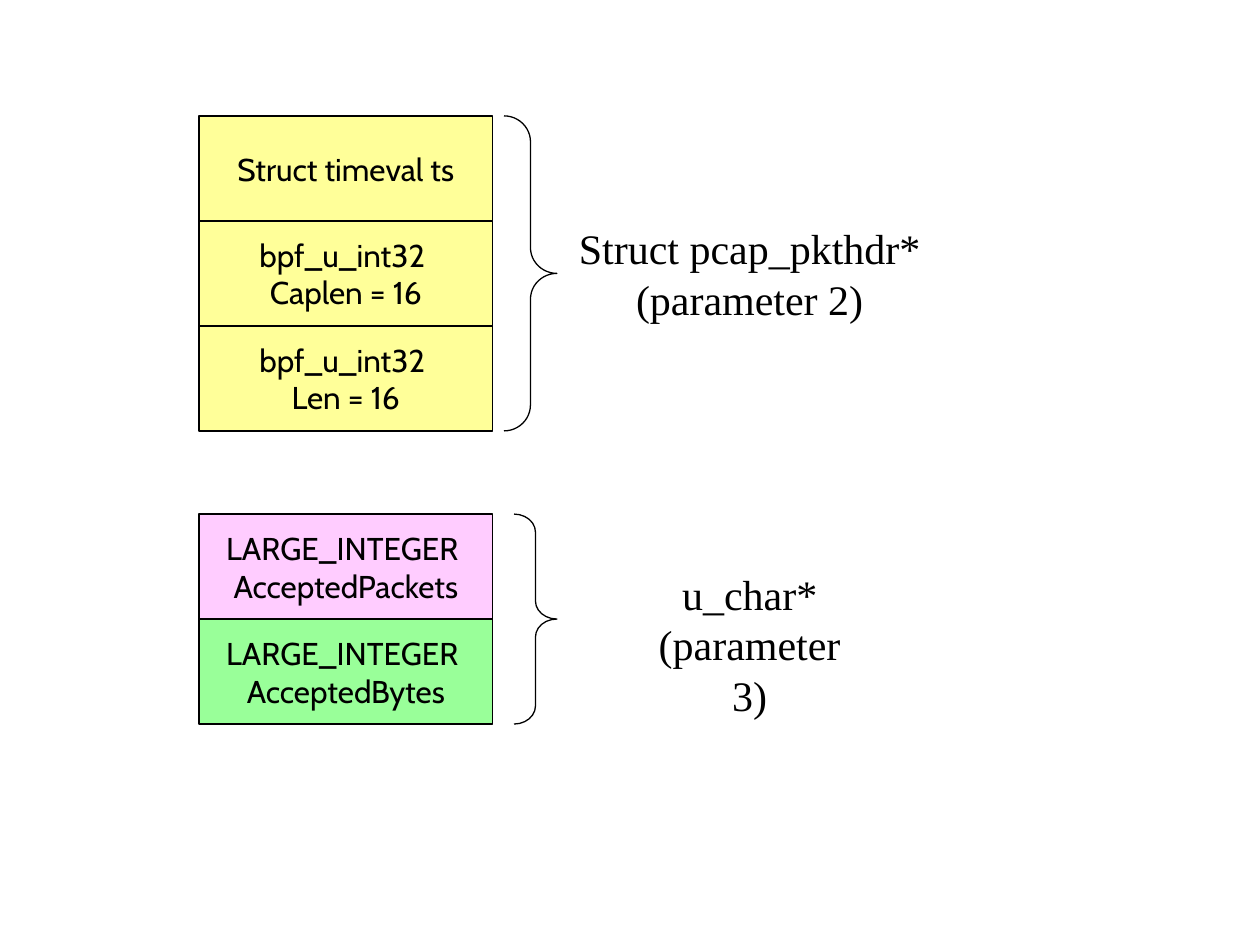
from dataclasses import dataclass

from pptx import Presentation
from pptx.dml.color import RGBColor
from pptx.enum import shapes, text
from pptx.util import Inches, Pt


@dataclass(frozen=True)
class Theme:
    ink: RGBColor = RGBColor(0, 0, 0)
    yellow: RGBColor = RGBColor(0xFF, 0xFF, 0x99)
    pink: RGBColor = RGBColor(0xFF, 0xCC, 0xFF)
    green: RGBColor = RGBColor(0x99, 0xFF, 0x99)
    field_font: str = "Cabin"
    field_size: Pt = Pt(18)
    label_font: str = "Times New Roman"
    label_size: Pt = Pt(24)
    line_width: Pt = Pt(0.75)


@dataclass(frozen=True)
class Field:
    lines: tuple[str, ...]
    fill: RGBColor


@dataclass(frozen=True)
class Struct:
    """A stack of fields, braced together and labelled on the right."""
    top: float
    fields: tuple[Field, ...]
    brace_left: float
    brace_curve: float
    label: tuple[str, ...]
    label_width: float


THEME = Theme()
FIELD_LEFT, FIELD_WIDTH, FIELD_HEIGHT = 1.58, 2.33, 2.5 / 3
BRACE_RIGHT = 4.42
LABEL_CENTER, LABEL_HEIGHT = 5.95, 0.9

STRUCTS = (
    Struct(0.92, (
        Field(("Struct timeval ts",), THEME.yellow),
        Field(("bpf_u_int32 ", "Caplen = 16"), THEME.yellow),
        Field(("bpf_u_int32 ", "Len = 16"), THEME.yellow),
    ), 4.0, 0.49, ("Struct pcap_pkthdr*", "(parameter 2)"), 2.91),
    Struct(4.08, (
        Field(("LARGE_INTEGER ", "AcceptedPackets"), THEME.pink),
        Field(("LARGE_INTEGER ", "AcceptedBytes"), THEME.green),
    ), 4.08, 0.42, ("u_char*", "(parameter 3)"), 2.0),
)


def write_lines(sp, lines: tuple[str, ...], font: str, size: Pt) -> None:
    tf = sp.text_frame
    tf.word_wrap = False
    tf.text = "\n".join(lines)
    for p in tf.paragraphs:
        p.alignment = text.PP_ALIGN.CENTER
        p.font.name = font
        p.font.size = size
        p.font.color.rgb = THEME.ink


def add_outlined(s, kind: shapes.MSO_SHAPE, left: float, top: float,
                 width: float, height: float):
    sp = s.shapes.add_shape(kind, Inches(left), Inches(top),
                            Inches(width), Inches(height))
    sp.shadow.inherit = False
    sp.line.color.rgb = THEME.ink
    sp.line.width = THEME.line_width
    return sp


def add_field(s, field: Field, top: float) -> None:
    sp = add_outlined(s, shapes.MSO_SHAPE.RECTANGLE, FIELD_LEFT, top,
                      FIELD_WIDTH, FIELD_HEIGHT)
    sp.fill.solid()
    sp.fill.fore_color.rgb = field.fill
    sp.text_frame.vertical_anchor = text.MSO_ANCHOR.MIDDLE
    write_lines(sp, field.lines, THEME.field_font, THEME.field_size)


def add_struct(s, struct: Struct) -> None:
    for i, field in enumerate(struct.fields):
        add_field(s, field, struct.top + i * FIELD_HEIGHT)

    height = len(struct.fields) * FIELD_HEIGHT
    brace = add_outlined(s, shapes.MSO_SHAPE.RIGHT_BRACE, struct.brace_left,
                         struct.top, BRACE_RIGHT - struct.brace_left, height)
    brace.adjustments[0] = struct.brace_curve
    brace.fill.background()

    label = s.shapes.add_textbox(
        Inches(LABEL_CENTER - struct.label_width / 2),
        Inches(struct.top + (height - LABEL_HEIGHT) / 2),
        Inches(struct.label_width), Inches(LABEL_HEIGHT))
    label.text_frame.auto_size = text.MSO_AUTO_SIZE.SHAPE_TO_FIT_TEXT
    write_lines(label, struct.label, THEME.label_font, THEME.label_size)


def main() -> None:
    prs = Presentation()
    prs.slide_width, prs.slide_height = Inches(10), Inches(7.5)
    s = prs.slides.add_slide(prs.slide_layouts.get_by_name("Blank"))
    for struct in STRUCTS:
        add_struct(s, struct)
    prs.save("out.pptx")


if __name__ == "__main__":
    main()
